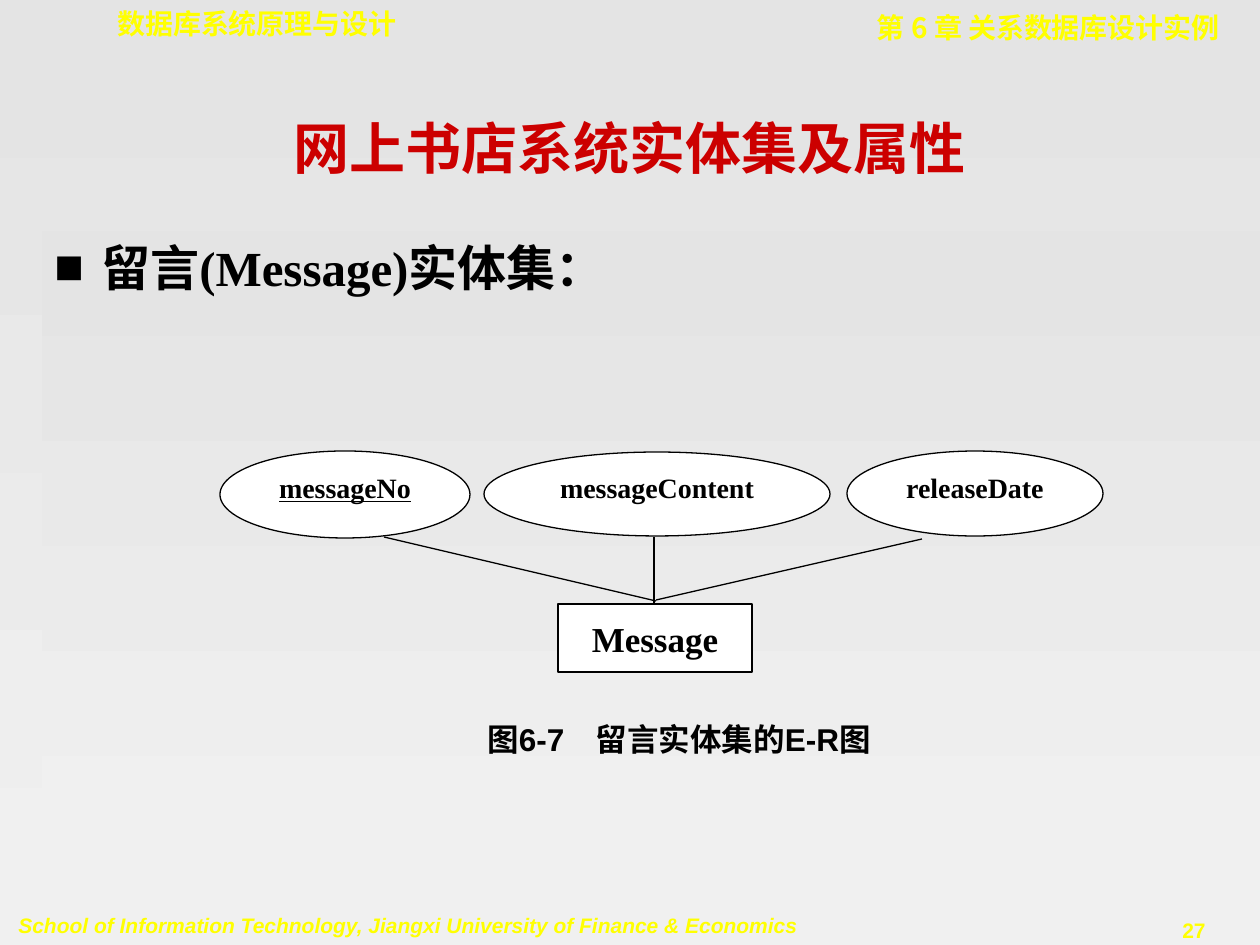
from lxml.etree import SubElement
from pptx import Presentation
from pptx.dml.color import RGBColor
from pptx.enum.shapes import MSO_CONNECTOR, MSO_SHAPE
from pptx.enum.text import MSO_ANCHOR, PP_ALIGN
from pptx.oxml.ns import qn
from pptx.util import Emu, Pt

COLOURS = {
    "light": "E4E4E4",
    "pale": "F0F0F0",
    "header": "FFFF00",
    "title": "CC0000",
    "ink": "000000",
    "node": "FFFFFF",
}
SERIF, SANS, MONO, CHINESE = "Times New Roman", "Arial", "DejaVu Sans Mono", "Noto Sans CJK SC"


def px(length):
    return Emu(round(length * 914400 / 126))


def colour(name):
    return RGBColor.from_string(COLOURS[name])


class Slide:
    """Holds the style and the current page."""

    def __init__(self, deck):
        self.page = deck.slides.add_slide(deck.slide_layouts[5])
        self.shade(self.page.background.fill)

    def shade(self, fill):
        """Fill from light at the top to pale at the bottom."""
        fill.gradient()
        fill.gradient_angle = 270
        for stop, name, position in zip(fill.gradient_stops, ("light", "pale"), (0, 1)):
            stop.color.rgb = colour(name)
            stop.position = position

    def add_span(self, para, text, size, font, tint="ink", align=PP_ALIGN.LEFT,
                 before=0, italic=False, underline=False):
        para.alignment = align
        para.space_before = Pt(before)
        span = para.add_run()
        span.text = text
        span.font.size = Pt(size)
        span.font.name = font
        span.font.bold = True
        span.font.italic = italic
        span.font.underline = underline
        span.font.color.rgb = colour(tint)
        SubElement(span.font._element, qn("a:ea"), typeface=CHINESE)

    def title(self, text, left, top, width, height):
        box = self.page.shapes.title
        box.left, box.top, box.width, box.height = map(px, (left, top, width, height))
        box.text_frame.vertical_anchor = MSO_ANCHOR.MIDDLE
        self.add_span(box.text_frame.paragraphs[0], text, 32, SERIF, "title", PP_ALIGN.CENTER)

    def text(self, text, left, top, width, height, size, font, wrap=True, **style):
        box = self.page.shapes.add_textbox(*map(px, (left, top, width, height)))
        box.text_frame.word_wrap = wrap
        self.add_span(box.text_frame.paragraphs[0], text, size, font, **style)
        return box

    def bullet_panel(self, text, left, top, width, height):
        box = self.text(text, left, top, width, height, 28, SERIF, before=7)
        self.shade(box.fill)
        properties = box.text_frame.paragraphs[0]._p.get_or_add_pPr()
        properties.set("marL", str(px(47)))
        properties.set("indent", str(-px(47)))
        bullet_colour = SubElement(properties, qn("a:buClr"))
        SubElement(bullet_colour, qn("a:srgbClr"), val=COLOURS["ink"])
        SubElement(properties, qn("a:buFont"), typeface=SANS)
        SubElement(properties, qn("a:buChar"), char="■")

    def node(self, kind, text, left, top, width, height, size, anchor, spacing=1.0, underline=False):
        shape = self.page.shapes.add_shape(kind, *map(px, (left, top, width, height)))
        shape.shadow.inherit = False
        shape.fill.solid()
        shape.fill.fore_color.rgb = colour("node")
        shape.line.color.rgb = colour("ink")
        shape.line.width = Pt(0.75)
        frame = shape.text_frame
        frame.margin_left = frame.margin_right = frame.margin_top = frame.margin_bottom = 0
        frame.vertical_anchor = anchor
        para = frame.paragraphs[0]
        para.line_spacing = spacing
        self.add_span(para, text, size, SERIF, align=PP_ALIGN.CENTER, underline=underline)

    def entity(self, text, *place):
        self.node(MSO_SHAPE.RECTANGLE, text, *place, 20, MSO_ANCHOR.MIDDLE)

    def attribute(self, text, *place, key=False):
        self.node(MSO_SHAPE.OVAL, text, *place, 16, MSO_ANCHOR.TOP, 1.2, key)

    def link(self, *ends):
        line = self.page.shapes.add_connector(MSO_CONNECTOR.STRAIGHT, *map(px, ends))
        line.line.color.rgb = colour("ink")
        line.line.width = Pt(0.75)
        SubElement(line._element.spPr, qn("a:effectLst"))


def main():
    deck = Presentation()
    deck.slide_width, deck.slide_height = px(1260), px(945)
    slide = Slide(deck)

    slide.text("27", 1131, 911, 126, 38, 12, SANS, wrap=False, tint="header",
               align=PP_ALIGN.CENTER, before=7.5)
    slide.text("School of Information Technology, Jiangxi University of Finance & Economics",
               6, 906, 806, 38, 12, SANS, wrap=False, tint="header", before=7.5, italic=True)
    slide.text("数据库系统原理与设计", 105, 0, 461, 47, 16, MONO, tint="header", before=10)
    slide.text("第 6 章 关系数据库设计实例", 684, 4, 548, 47, 16, CHINESE, tint="header",
               align=PP_ALIGN.RIGHT, before=10)

    slide.title("网上书店系统实体集及属性", 94, 105, 1071, 84)
    slide.bullet_panel("留言(Message)实体集：", 42, 231, 1218, 630)

    slide.attribute("releaseDate", 847, 451, 256, 85)
    slide.entity("Message", 558, 604, 194, 68)
    slide.attribute("messageNo", 220, 451, 250, 87, key=True)
    slide.attribute("messageContent", 484, 452, 346, 84)
    slide.link(384, 537, 656, 601)
    slide.link(654, 604, 654, 537)
    slide.link(656, 600, 922, 539)
    slide.text("图6-7　留言实体集的E-R图", 447, 714, 464, 50, 18, SANS,
               align=PP_ALIGN.CENTER, before=11.2)

    deck.save("out.pptx")


if __name__ == "__main__":
    main()
